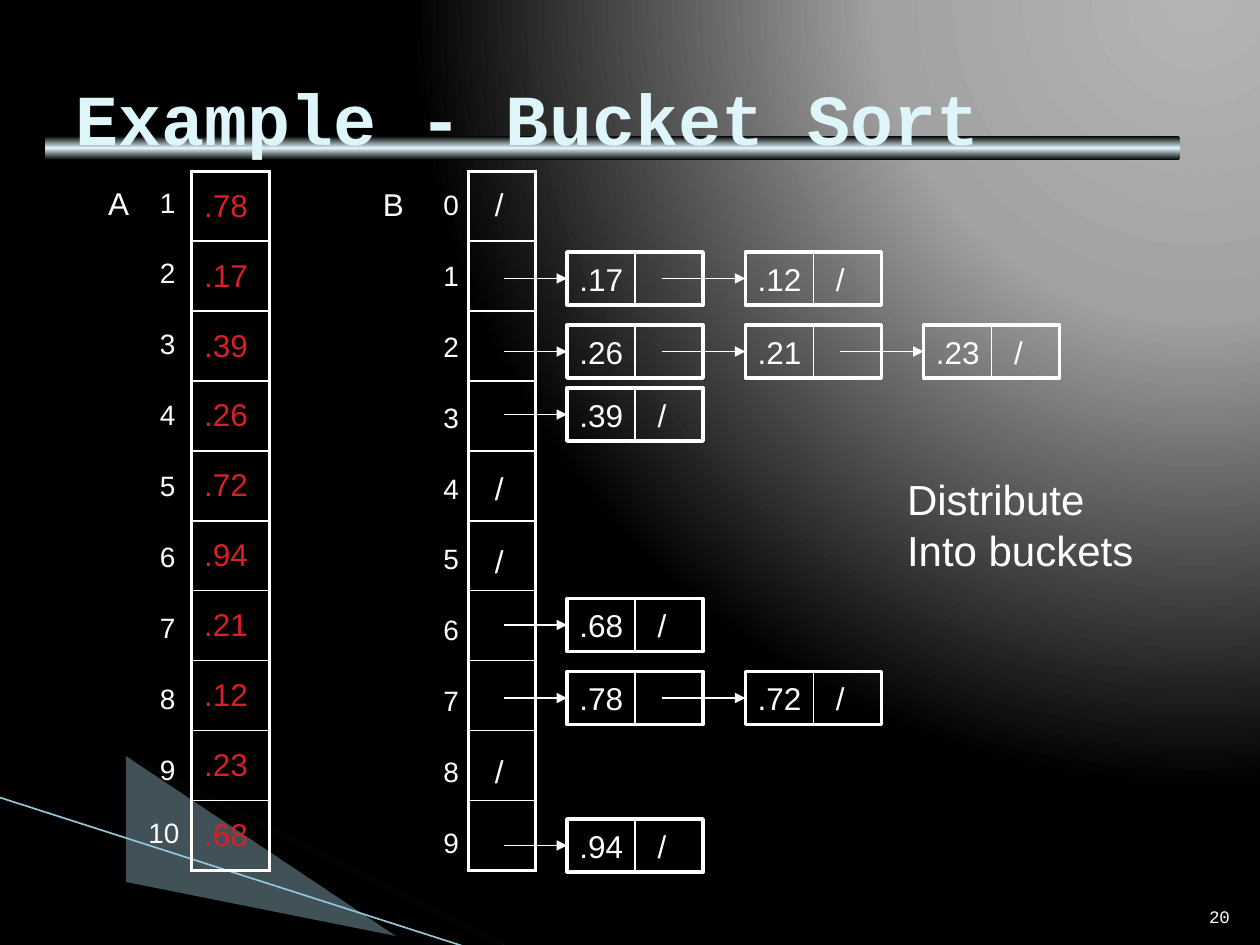
from pptx import Presentation, util as u
from pptx.dml.color import RGBColor
from pptx.enum import shapes, text
from pptx.oxml import parse_xml
from pptx.oxml.ns import nsdecls, qn

Inches, Pt = u.Inches, u.Pt
WHITE = RGBColor(0xFF, 0xFF, 0xFF)
BLACK = RGBColor(0, 0, 0)
RED = RGBColor(0xDA, 0x1F, 0x28)
ICE = RGBColor(0xDE, 0xF5, 0xFA)
SWOOSH = RGBColor(0xA0, 0xCB, 0xDC)
SWOOSH_LINE = RGBColor(0x97, 0xC5, 0xD8)
LIGHT_GREY = RGBColor(0xB4, 0xB4, 0xB4)
MID_GREY = RGBColor(0xA2, 0xA2, 0xA2)

ROWS, ROW_HEIGHT, LABEL_PITCH = 10, 0.555, 0.5625
VALUES = [".78", ".17", ".39", ".26", ".72", ".94", ".21", ".12", ".23", ".68"]
NODE_WIDTH, NODE_HEIGHT, NODE_PITCH = 1.08, 0.42, 1.415
CHAINS = {
    2.0: [".17", ".12"],
    2.58: [".26", ".21", ".23"],
    3.08: [".39"],
    4.75: [".68"],
    5.33: [".78", ".72"],
    6.5: [".94"],
}
EMPTY_BUCKET_TOPS = [1.42, 3.67, 4.25, 5.92]


def apply_format(target, values):
    """Set every attribute of the target named in the dict."""
    for name, value in values.items():
        setattr(target, name, value)


def style_font(font, size, color=WHITE, name="Arial", bold=False):
    """Format a font."""
    apply_format(font, {"size": Pt(size), "name": name, "bold": bold})
    font.color.rgb = color


def set_gradient(parent, stops, direction):
    """Replace the solid fill of an element with a gradient."""
    marks = "".join(
        f'<a:gs pos="{place * 1000}"><a:srgbClr val="{color}"/></a:gs>' for place, color in stops
    )
    gradient = parse_xml(
        f'<a:gradFill {nsdecls("a")} rotWithShape="1"><a:gsLst>{marks}</a:gsLst>{direction}</a:gradFill>'
    )
    parent.replace(parent.find(qn("a:solidFill")), gradient)


def add_text(slide, box, lines, size, **font_values):
    """Add an unwrapped text box with one paragraph for each line."""
    shape = slide.shapes.add_textbox(*map(Inches, box))
    frame = shape.text_frame
    apply_format(frame, {"word_wrap": False, "text": "\n".join(lines)})
    for paragraph in frame.paragraphs:
        style_font(paragraph.font, size, **font_values)
    return frame


def add_line(slide, start, end, color=WHITE, width=0.75, arrow=False):
    """Add a straight connector, with an arrowhead if asked."""
    line = slide.shapes.add_connector(shapes.MSO_CONNECTOR.STRAIGHT, *map(Inches, (*start, *end)))
    line.line.color.rgb = color
    line.line.width = Pt(width)
    properties = line.element.spPr
    if arrow:
        head = parse_xml(f'<a:tailEnd {nsdecls("a")} type="triangle"/>')
        properties.find(qn("a:ln")).append(head)
    properties.append(parse_xml(f'<a:effectLst {nsdecls("a")}/>'))
    return line


def add_background(slide):
    """Paint the radial backdrop and the corner swoosh."""
    slide.background.fill.solid()
    set_gradient(
        slide.element.find(".//" + qn("p:bgPr")),
        [(0, LIGHT_GREY), (40, MID_GREY), (100, BLACK)],
        '<a:path path="circle"><a:fillToRect l="95000" t="-106000" r="5000" b="206000"/></a:path>',
    )
    swooshes = [
        ([(0.55, 6.51), (5.95, 7.51), (4.56, 7.51), (0.55, 6.5)], SWOOSH, 40),
        ([(0.53, 6.49), (4.57, 7.51), (3.72, 7.52), (0.54, 6.5)], BLACK, 100),
    ]
    for points, color, opacity in swooshes:
        builder = slide.shapes.build_freeform(*points[0], scale=Inches(1))
        builder.add_line_segments(points[1:], close=True)
        shape = builder.convert_to_shape()
        shape.shadow.inherit = False
        shape.fill.solid()
        shape.fill.fore_color.rgb = color
        shape.line.fill.background()
        alpha = parse_xml(f'<a:alpha {nsdecls("a")} val="{opacity * 1000}"/>')
        shape.element.spPr.find(qn("a:solidFill"))[0].append(alpha)
    add_line(slide, (0, 6.33), (3.71, 7.52), SWOOSH_LINE, 0.95)


def add_title(slide, box):
    """Place the title over its metallic bar."""
    left, top, width, height = box
    bar = slide.shapes.add_shape(
        shapes.MSO_SHAPE.ROUNDED_RECTANGLE,
        *map(Inches, (left - 0.14, top + 0.78, width + 0.01, 0.19)),
    )
    bar.shadow.inherit = False
    bar.line.fill.background()
    bar.fill.solid()
    set_gradient(bar.element.spPr, [(0, BLACK), (50, ICE), (100, BLACK)], '<a:lin ang="5400000" scaled="0"/>')
    title = slide.shapes.title
    apply_format(title, dict(zip(("left", "top", "width", "height"), map(Inches, box))))
    apply_format(title.text_frame, {
        "text": "Example - Bucket Sort",
        "vertical_anchor": text.MSO_ANCHOR.MIDDLE,
        "auto_size": text.MSO_AUTO_SIZE.NONE,
    })
    paragraph = title.text_frame.paragraphs[0]
    paragraph.alignment = text.PP_ALIGN.LEFT
    style_font(paragraph.font, 41, ICE, "Courier New", True)
    title.element.getparent().append(title.element)


def add_array(slide, box, values):
    """Add a one-column table with heavy outer borders."""
    table = slide.shapes.add_table(ROWS, 1, *map(Inches, box)).table
    apply_format(table, {"first_row": False, "horz_banding": False})
    for index, value in enumerate(values):
        cell = table.cell(index, 0)
        apply_format(cell, {"text": value, "vertical_anchor": text.MSO_ANCHOR.MIDDLE})
        style_font(cell.text_frame.paragraphs[0].font, 18, RED)
        widths = {"L": 2.25, "R": 2.25, "T": 1 if index else 2.25, "B": 1 if index < ROWS - 1 else 2.25}
        properties = cell._tc.get_or_add_tcPr()
        for side, width in widths.items():
            properties.append(parse_xml(
                f'<a:ln{side} {nsdecls("a")} w="{Pt(width)}"><a:solidFill>'
                f'<a:srgbClr val="{WHITE}"/></a:solidFill></a:ln{side}>'
            ))
        cell.fill.background()


def add_index_labels(slide, left, top, first):
    """Number the rows of an array downwards."""
    for index in range(ROWS):
        label = str(first + index)
        wide = len(label) > 1
        box = (left - 0.09, top + index * LABEL_PITCH - 0.06, 0.45, 0.37) if wide else (
            left, top + index * LABEL_PITCH, 0.32, 0.37)
        add_text(slide, box, [label], 16)


def add_chain(slide, left, top, values):
    """Add the linked list of one bucket, each arrow joined to its node."""
    middle = top + NODE_HEIGHT / 2
    for index, value in enumerate(values):
        x = left + index * NODE_PITCH
        node = slide.shapes.add_shape(
            shapes.MSO_SHAPE.RECTANGLE, *map(Inches, (x, top, NODE_WIDTH, NODE_HEIGHT)))
        node.shadow.inherit = False
        node.fill.background()
        node.line.color.rgb = WHITE
        node.line.width = Pt(2)
        last = index == len(values) - 1
        apply_format(node.text_frame, {
            "text": value + "\t/" if last else value,
            "vertical_anchor": text.MSO_ANCHOR.MIDDLE,
        })
        paragraph = node.text_frame.paragraphs[0]
        paragraph.alignment = text.PP_ALIGN.LEFT
        tabs = f'<a:tabLst {nsdecls("a")}><a:tab pos="{Inches(0.62)}" algn="l"/></a:tabLst>'
        paragraph._p.get_or_add_pPr().append(parse_xml(tabs))
        style_font(paragraph.font, 18)
        center = x + NODE_WIDTH / 2
        divider = add_line(slide, (center, top), (center, top + NODE_HEIGHT))
        divider.begin_connect(node, 0)
        divider.end_connect(node, 2)
        start = x - NODE_PITCH + 0.75 if index else left - 0.5
        add_line(slide, (start, middle), (x, middle), arrow=True).end_connect(node, 1)


def build_slide(presentation):
    """Build the bucket sort slide."""
    slide = presentation.slides.add_slide(presentation.slide_layouts[5])
    add_background(slide)
    add_title(slide, (0.5, 0.3, 9, 1.25))
    add_array(slide, (1.52, 1.36, 0.62, ROWS * ROW_HEIGHT), VALUES)
    add_array(slide, (3.72, 1.36, 0.53, ROWS * ROW_HEIGHT), [""] * ROWS)
    add_index_labels(slide, 1.17, 1.42, 1)
    add_index_labels(slide, 3.42, 1.44, 0)
    for top, values in CHAINS.items():
        add_chain(slide, 4.5, top, values)
    for top in EMPTY_BUCKET_TOPS:
        add_text(slide, (3.83, top, 0.27, 0.4), ["/"], 18)
    add_text(slide, (0.76, 1.41, 0.37, 0.4), ["A"], 18)
    add_text(slide, (2.94, 1.42, 0.37, 0.4), ["B"], 18)
    add_text(slide, (7.1, 3.71, 2.02, 0.91), ["Distribute", "Into buckets"], 24)
    number = add_text(slide, (9.46, 7.01, 0.4, 0.4), ["20"], 10, name="Courier New")
    apply_format(number, {"vertical_anchor": text.MSO_ANCHOR.BOTTOM, "word_wrap": True})
    number.paragraphs[0].alignment = text.PP_ALIGN.RIGHT


def main():
    """Create and save the presentation."""
    presentation = Presentation()
    apply_format(presentation, {"slide_width": Inches(10), "slide_height": Inches(7.5)})
    build_slide(presentation)
    presentation.save("out.pptx")


if __name__ == "__main__":
    main()
